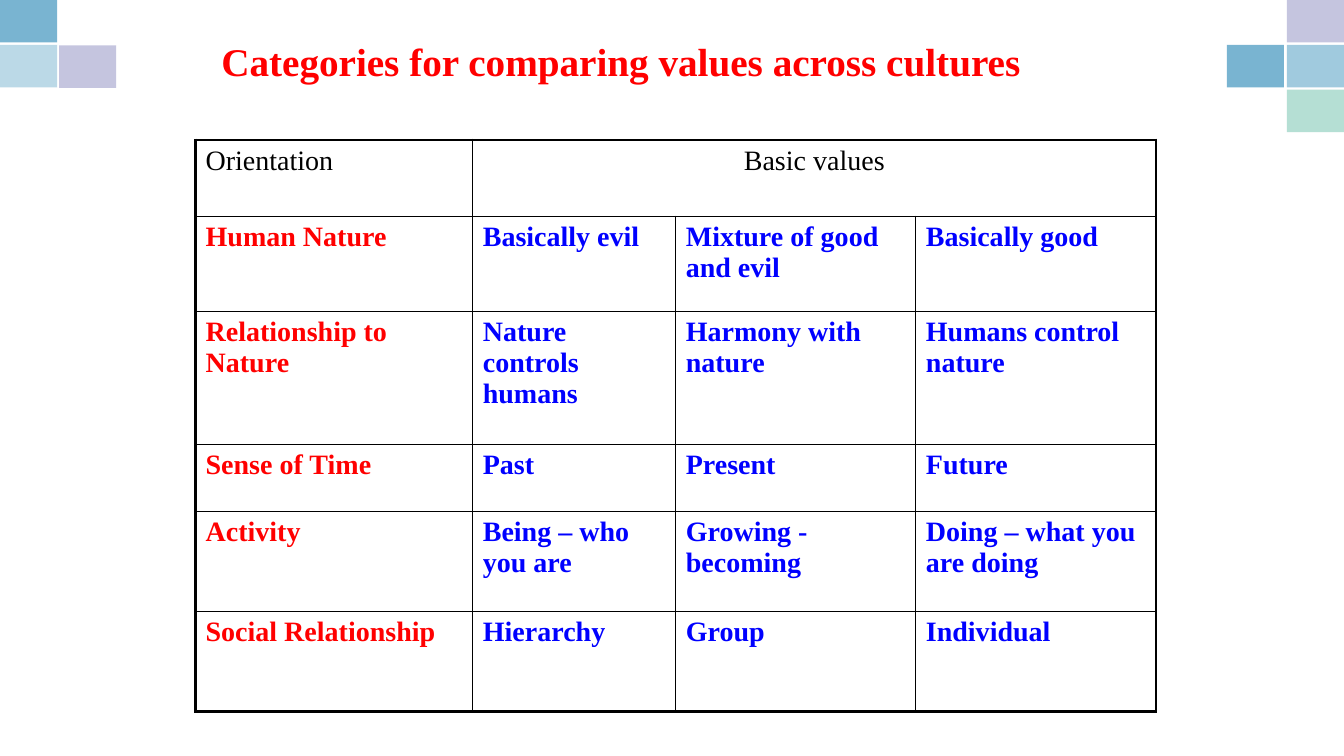
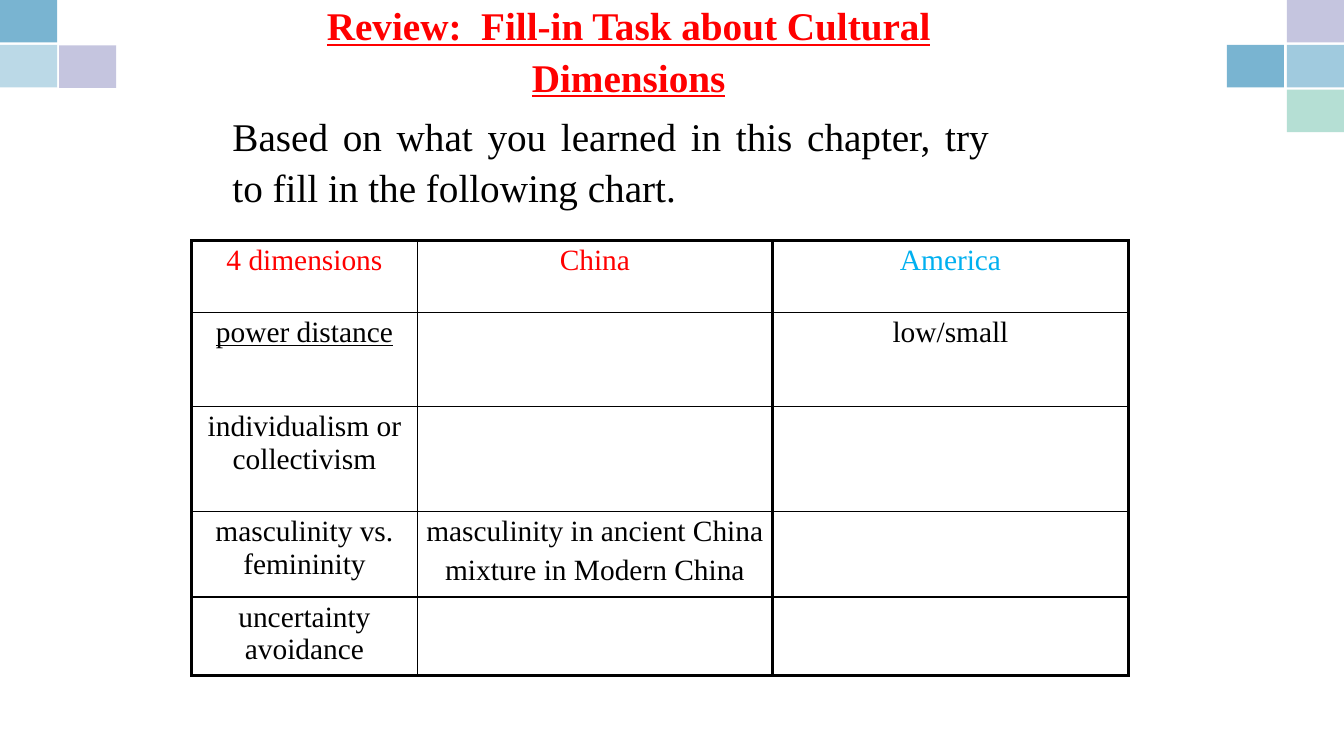
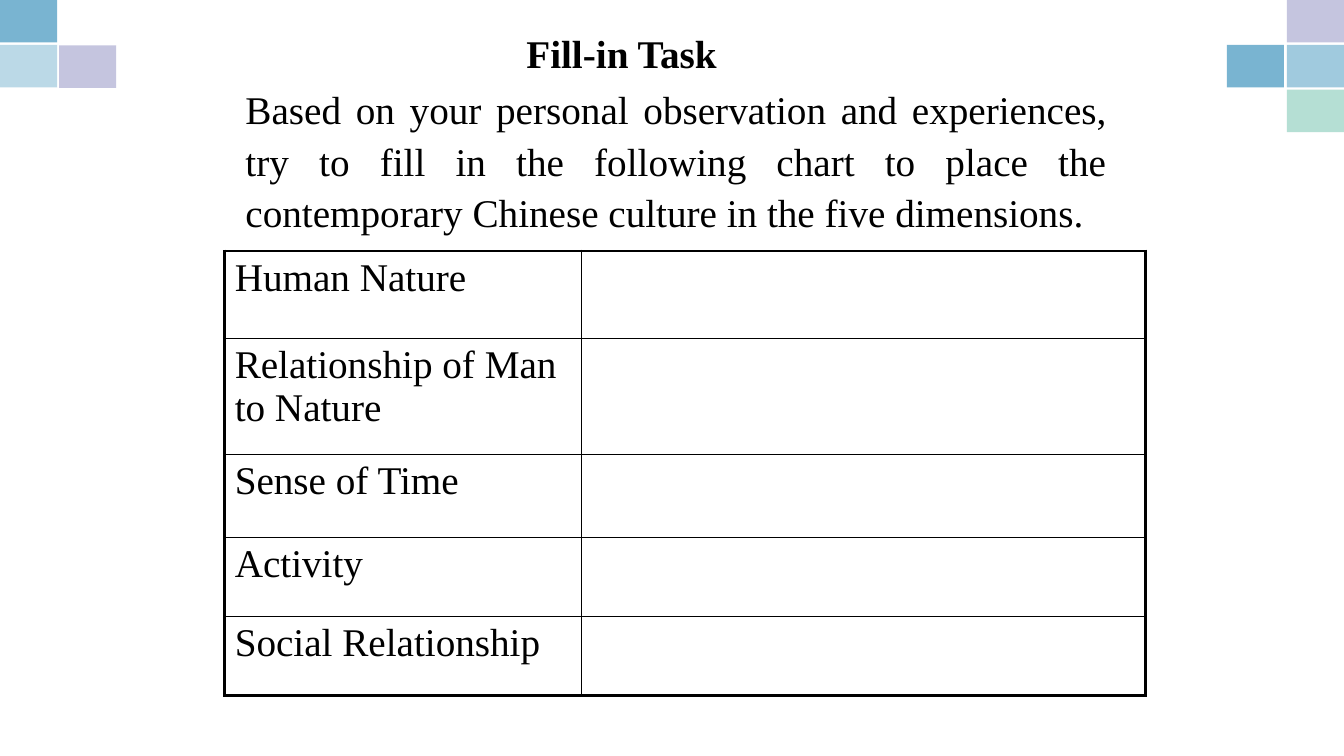
from dataclasses import dataclass

from lxml.etree import SubElement
from pptx import Presentation
from pptx.dml.color import RGBColor
from pptx.enum.shapes import MSO_SHAPE
from pptx.enum.text import MSO_ANCHOR as Anchor, PP_ALIGN as Align
from pptx.oxml.ns import qn
from pptx.util import Pt


@dataclass(frozen=True)
class Theme:
    font: str = "Times New Roman"
    white: str = "FFFFFF"
    black: str = "000000"
    red: str = "FF0000"
    blue: str = "0000FF"
    sky: str = "00B0F0"
    block_blue: str = "79B4D1"
    block_purple: str = "8D8DC1"
    block_green: str = "84CAB8"
    large: float = 28
    values_size: float = 20
    dimensions_size: float = 21
    line_spacing: float = 1.09
    thick: float = 2.25
    thin: float = 1


theme = Theme()


def add_text(slide, box, text, alignment, anchor=Anchor.TOP, color=theme.black, bold=False, underline=False):
    shape = slide.shapes.add_textbox(*[Pt(length) for length in box])
    frame = shape.text_frame
    frame.word_wrap = True
    frame.vertical_anchor = anchor
    frame.text = text
    paragraph = frame.paragraphs[0]
    paragraph.alignment = alignment
    paragraph.line_spacing = theme.line_spacing
    font = paragraph.runs[0].font
    font.name, font.size = theme.font, Pt(theme.large)
    font.bold, font.underline = bold, underline
    font.color.rgb = RGBColor.from_string(color)


def add_grid(slide, left, top, widths, heights, rows, size, insets, alignment=Align.LEFT, merges=(), thick_columns=()):
    frame = slide.shapes.add_table(
        len(heights), len(widths), Pt(left), Pt(top), Pt(sum(widths)), Pt(sum(heights)))
    table = frame.table
    table.first_row = table.horz_banding = False
    for column, width in zip(table.columns, widths):
        column.width = Pt(width)
    for row, height in zip(table.rows, heights):
        row.height = Pt(height)
    for row, first, last in merges:
        table.cell(row, first).merge(table.cell(row, last))
    thick_verticals = {0, len(widths), *thick_columns}
    thick_horizontals = {0, len(heights)}
    for r, texts in enumerate(rows):
        for c, text in enumerate(texts):
            cell = table.cell(r, c)
            if cell.is_spanned:
                continue
            properties = cell._tc.get_or_add_tcPr()
            sides = {
                "a:lnL": c in thick_verticals,
                "a:lnR": c + cell.span_width in thick_verticals,
                "a:lnT": r in thick_horizontals,
                "a:lnB": r + 1 in thick_horizontals,
            }
            for side, is_thick in sides.items():
                width = Pt(theme.thick if is_thick else theme.thin)
                line = SubElement(properties, qn(side), w=str(width))
                SubElement(SubElement(line, qn("a:solidFill")), qn("a:srgbClr"), val=theme.black)
            cell.fill.solid()
            cell.fill.fore_color.rgb = RGBColor.from_string(theme.white)
            cell.margin_left = cell.margin_right = Pt(insets[0])
            cell.margin_top = cell.margin_bottom = Pt(insets[1])
            cell.text_frame.text = text
            for index, paragraph in enumerate(cell.text_frame.paragraphs):
                paragraph.alignment = alignment
                if index:
                    paragraph.space_before = Pt(size * 0.2)
                for run in paragraph.runs:
                    run.font.name, run.font.size = theme.font, Pt(size)
                    run.font.color.rgb = RGBColor.from_string(theme.black)
    return table


presentation = Presentation()
presentation.slide_width, presentation.slide_height = Pt(960), Pt(540)

blocks = [
    (919.2, 64, theme.block_green, 60),
    (919.2, 0, theme.block_purple, 50),
    (42.2, 32.5, theme.block_purple, 50),
    (0, 0, theme.block_blue, 100),
    (0, 32, theme.block_blue, 50),
    (919.2, 32, theme.block_blue, 70),
    (876.4, 32, theme.block_blue, 100),
]
titles = [
    ((151, 26, 648, 32.4), "Categories for comparing values across cultures", Align.LEFT, theme.red, False),
    ((206, 22.5, 486, 24.5), "Review:  Fill-in Task about Cultural Dimensions", Align.CENTER, theme.red, True),
    ((120, 20.2, 648, 32.4), "Fill-in Task", Align.CENTER, theme.black, False),
]
slides = []
for box, title, alignment, color, underline in titles:
    slide = presentation.slides.add_slide(presentation.slide_layouts[6])
    for left, top, fill, opacity in blocks:
        block = slide.shapes.add_shape(MSO_SHAPE.RECTANGLE, Pt(left), Pt(top), Pt(40.8), Pt(30.4))
        block.shadow.inherit = False
        block.line.fill.background()
        block.fill.solid()
        block.fill.fore_color.rgb = RGBColor.from_string(fill)
        if opacity < 100:
            tint = block._element.spPr.find(qn("a:solidFill"))[0]
            SubElement(tint, qn("a:alpha"), val=str(opacity * 1000))
    add_text(slide, box, title, alignment, Anchor.MIDDLE, color, True, underline)
    slides.append(slide)
values_slide, review_slide, task_slide = slides

values_rows = [
    ("Orientation", "Basic values", "", ""),
    ("Human Nature", "Basically evil", "Mixture of good and evil", "Basically good"),
    ("Relationship to Nature", "Nature controls humans", "Harmony with nature", "Humans control nature"),
    ("Sense of Time", "Past", "Present", "Future"),
    ("Activity", "Being – who you are", "Growing - becoming", "Doing – what you are doing"),
    ("Social Relationship", "Hierarchy", "Group", "Individual"),
]
values_table = add_grid(
    values_slide, 139.7, 100, (198, 145, 171.5, 171.5), (54.5, 68, 95, 48, 71.3, 71.3),
    values_rows, theme.values_size, (7.2, 3.6), merges=[(0, 1, 3)])
values_table.cell(0, 1).text_frame.paragraphs[0].alignment = Align.CENTER
for r in range(1, len(values_rows)):
    for c in range(4):
        font = values_table.cell(r, c).text_frame.paragraphs[0].runs[0].font
        font.bold = True
        font.color.rgb = RGBColor.from_string(theme.blue if c else theme.red)

review_rows = [
    ("4 dimensions", "China", "America"),
    ("power distance", "", "low/small"),
    ("individualism or collectivism", "", ""),
    ("masculinity vs. femininity", "masculinity in ancient China\nmixture in Modern China", ""),
    ("uncertainty avoidance", "", ""),
]
review_table = add_grid(
    review_slide, 137, 172, (161, 254, 254), (51, 67.5, 75, 61, 56),
    review_rows, theme.dimensions_size, (5.2, 2.8), Align.CENTER, thick_columns=[2])
for c, color in enumerate((theme.red, theme.red, theme.sky)):
    font = review_table.cell(0, c).text_frame.paragraphs[0].runs[0].font
    font.color.rgb = RGBColor.from_string(color)
review_table.cell(1, 0).text_frame.paragraphs[0].runs[0].font.underline = True
add_text(
    review_slide, (159, 73.5, 554.5, 75),
    "Based on what you learned in this chapter, try to fill in the following chart.",
    Align.JUSTIFY)

task_rows = [
    ("Human Nature", ""),
    ("Relationship of Man to Nature", ""),
    ("Sense of Time", ""),
    ("Activity", ""),
    ("Social Relationship", ""),
]
add_grid(
    task_slide, 160.5, 179.3, (255, 402.5), (62.5, 83, 59, 56.5, 56.5),
    task_rows, theme.large, (7.2, 3.6))
add_text(
    task_slide, (168.3, 54.7, 629.3, 108.7),
    "Based on your personal observation and experiences, try to fill in the following chart "
    "to place the contemporary Chinese culture in the five dimensions.",
    Align.JUSTIFY)

presentation.save("out.pptx")
